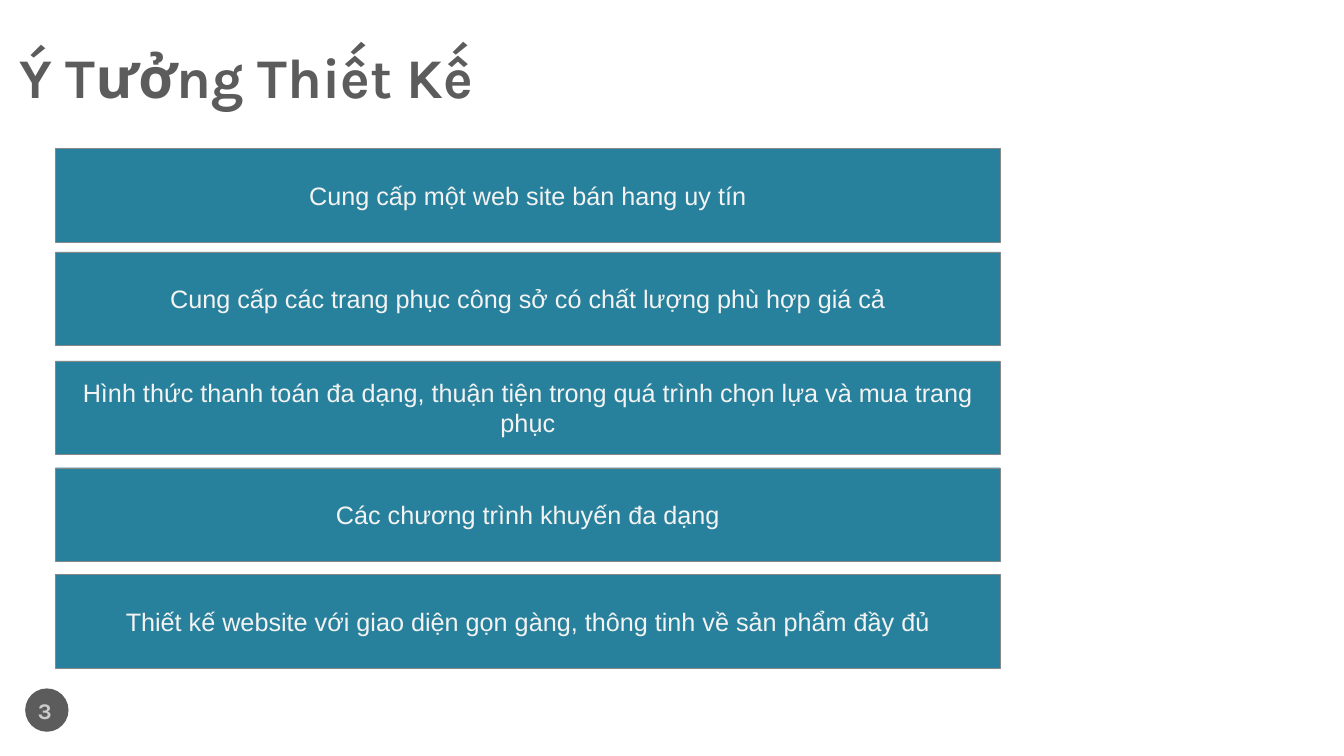
from pptx import Presentation
from pptx.dml.color import RGBColor
from pptx.enum.shapes import MSO_SHAPE
from pptx.enum.text import MSO_ANCHOR, PP_ALIGN
from pptx.util import Inches, Pt

GRAY = RGBColor(0x5C, 0x5C, 0x5C)
TEAL = RGBColor(0x28, 0x81, 0x9C)
BORDER = RGBColor(0x87, 0x87, 0x87)
OFF_WHITE = RGBColor(0xF3, 0xF3, 0xF3)
LIGHT_GRAY = RGBColor(0xCB, 0xCB, 0xCB)

# Top edge in inches and wording of each bar
IDEAS = [
    (1.47, "Cung cấp một web site bán hang uy tín"),
    (2.5, "Cung cấp các trang phục công sở có chất lượng phù hợp giá cả"),
    (3.58, "Hình thức thanh toán đa dạng, thuận tiện trong quá trình "
           "chọn lựa và mua trang phục"),
    (4.64, "Các chương trình khuyến đa dạng"),
    (5.7, "Thiết kế website với giao diện gọn gàng, thông tinh về "
          "sản phẩm đầy đủ"),
]


def set_text(sp, text, size, color, font="Karla", bold=False, spacing=1.0,
             wrap=True):
    tf = sp.text_frame
    tf.word_wrap = wrap
    tf.vertical_anchor = MSO_ANCHOR.MIDDLE
    p = tf.paragraphs[0]
    p.alignment = PP_ALIGN.CENTER
    p.line_spacing = spacing
    r = p.add_run()
    r.text = text
    r.font.size = Pt(size)
    r.font.name = font
    r.font.bold = bold
    r.font.color.rgb = color


def add_filled(s, kind, x, y, w, h, fill, line=None):
    sp = s.shapes.add_shape(kind, Inches(x), Inches(y), Inches(w), Inches(h))
    sp.shadow.inherit = False
    sp.fill.solid()
    sp.fill.fore_color.rgb = fill
    if line is None:
        sp.line.fill.background()
    else:
        sp.line.color.rgb = line
        sp.line.width = Pt(0.25)
    return sp


def add_title(s, x, y, w, h):
    title = s.shapes.title
    title.left, title.top = Inches(x), Inches(y)
    title.width, title.height = Inches(w), Inches(h)
    set_text(title, "Ý Tưởng Thiết Kế", 40, GRAY, bold=True, spacing=0.9)


def add_idea_bars(s, x, w, h):
    for y, text in IDEAS:
        bar = add_filled(s, MSO_SHAPE.RECTANGLE, x, y, w, h, TEAL, BORDER)
        set_text(bar, text, 18, OFF_WHITE, font="Arial")


def add_page_number(s, x, y, size):
    add_filled(s, MSO_SHAPE.OVAL, x, y, size, size, GRAY)
    number = s.shapes.add_textbox(Inches(x - 0.05), Inches(y + 0.02),
                                  Inches(0.49), Inches(0.4))
    set_text(number, "3", 16, LIGHT_GRAY, bold=True)


def main():
    prs = Presentation()
    prs.slide_width, prs.slide_height = Inches(13.33), Inches(7.5)
    s = prs.slides.add_slide(prs.slide_layouts[5])
    add_title(s, 0, 0.44, 4.88, 0.72)
    add_idea_bars(s, 0.55, 9.37, 0.93)
    add_page_number(s, 0.25, 6.83, 0.43)
    prs.save("out.pptx")


if __name__ == "__main__":
    main()
